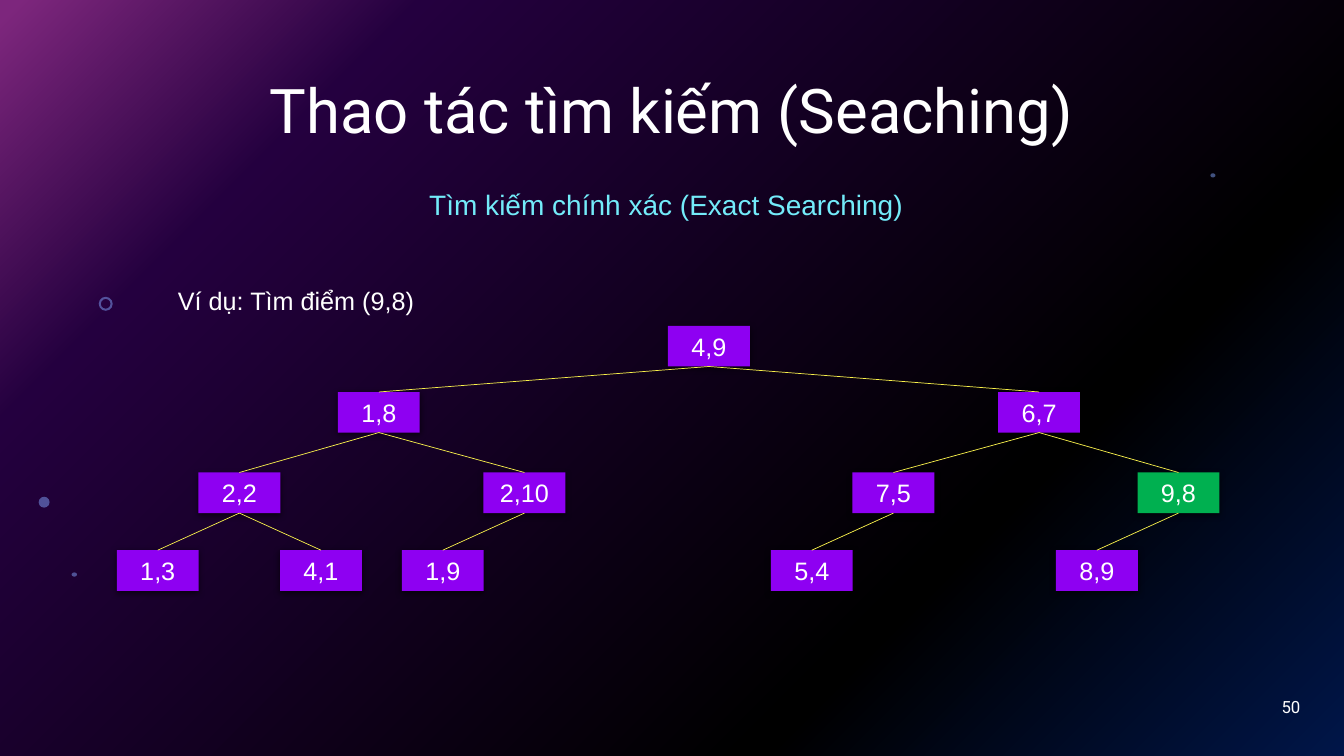
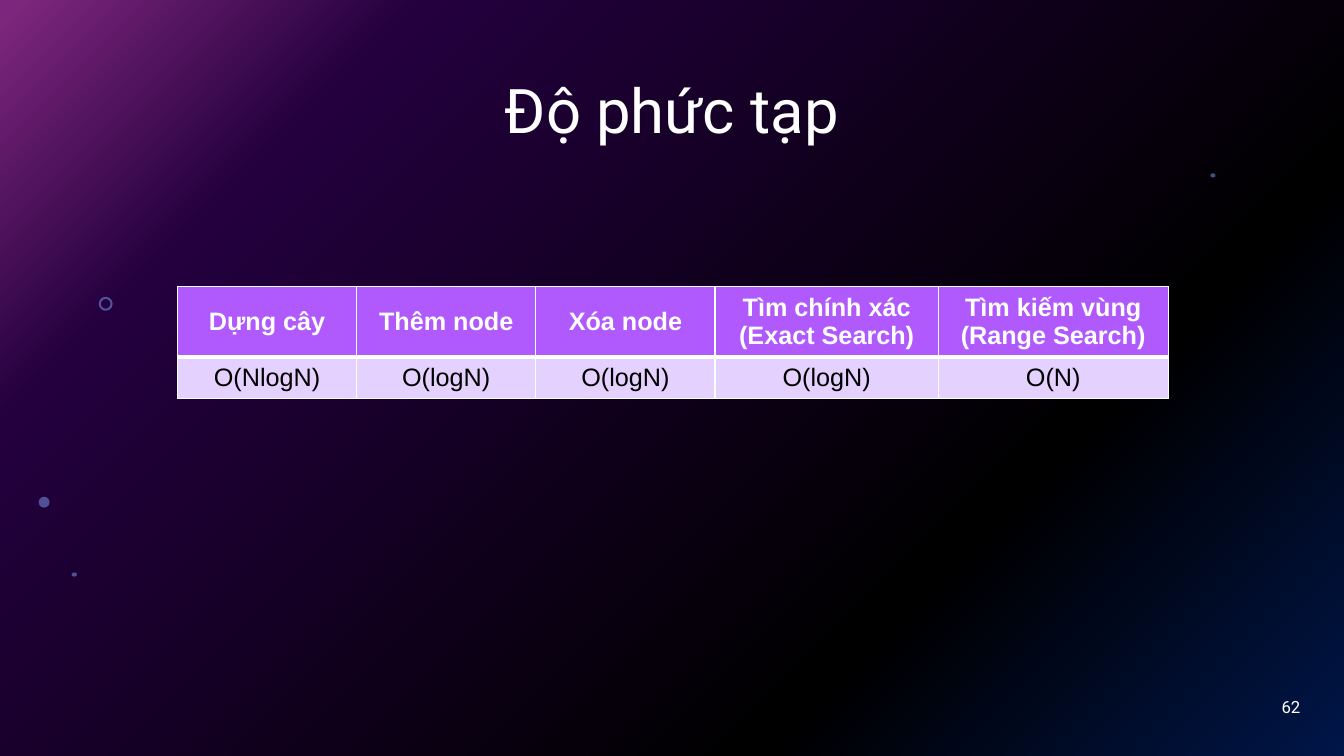
import lxml.etree
import pptx
import pptx.dml.color
import pptx.enum.shapes
import pptx.enum.text
import pptx.oxml.ns
import pptx.util

Pt = pptx.util.Pt
RGBColor = pptx.dml.color.RGBColor
SHAPE = pptx.enum.shapes.MSO_SHAPE
ALIGN = pptx.enum.text.PP_ALIGN
ANCHOR = pptx.enum.text.MSO_ANCHOR
qn = pptx.oxml.ns.qn

WHITE = RGBColor(0xFF, 0xFF, 0xFF)
BLACK = RGBColor(0x00, 0x00, 0x00)
AQUA = RGBColor(0x73, 0xEB, 0xF9)
BLUE = RGBColor(0x83, 0xA7, 0xFD)
PURPLE = RGBColor(0x8E, 0x00, 0xF2)
GREEN = RGBColor(0x00, 0xB0, 0x50)
YELLOW = RGBColor(0xFA, 0xF2, 0x4C)
VIOLET = RGBColor(0xB0, 0x59, 0xFD)
LILAC = RGBColor(0xE4, 0xD1, 0xFE)
GLOW = (
    (0, RGBColor(0x02, 0x2D, 0x94)),
    (28, BLACK),
    (80, RGBColor(0x4A, 0x02, 0x7F)),
    (99, RGBColor(0xFC, 0x4E, 0xFB)),
)

HEAD = "Roboto"
BODY = "Arial"
WIDTH, HEIGHT = 960, 540

# Left, top, width and height of each small dot
DOTS = (
    (27.6, 354.8, 7.8, 7.8),
    (51.2, 408.9, 3.8, 3),
    (864.6, 123.8, 3.6, 3),
)

NODE_W, NODE_H = 58.5, 29
ROOT_X = 506.4
ROWS = (232.8, 280, 337.5, 393)
LEAF = 58.3
FOUND = "9,8"
# Label, shift from the parent's centre, children
TREE = ("4,9", 0, (
    ("1,8", -235.8, (
        ("2,2", -99.6, (("1,3", -LEAF, ()), ("4,1", LEAF, ()))),
        ("2,10", 104, (("1,9", -LEAF, ()),)),
    )),
    ("6,7", 235.8, (
        ("7,5", -104, (("5,4", -LEAF, ()),)),
        (FOUND, 99.6, (("8,9", -LEAF, ()),)),
    )),
))

COSTS = (
    ("Dựng cây", "O(NlogN)", 128),
    ("Thêm node", "O(logN)", 128),
    ("Xóa node", "O(logN)", 128),
    ("Tìm chính xác (Exact Search)", "O(logN)", 159.5),
    ("Tìm kiếm vùng (Range Search)", "O(N)", 164.2),
)


def add_node(parent, tag, **values):
    return lxml.etree.SubElement(parent, qn(tag), values)


def add_tint(parent, color, alpha=100):
    tint = add_node(parent, "a:srgbClr", val=str(color))
    if alpha < 100:
        add_node(tint, "a:alpha", val=str(alpha * 1000))


def write(frame, text, size, color, font=BODY, align=ALIGN.LEFT, bold=False):
    para = frame.paragraphs[0]
    para.alignment = align
    run = para.add_run()
    run.text = text
    run.font.size = Pt(size)
    run.font.name = font
    run.font.bold = bold
    run.font.color.rgb = color
    return para


def add_text(slide, box, text, size, color, anchor=ANCHOR.TOP, **style):
    frame = slide.shapes.add_textbox(*map(Pt, box)).text_frame
    frame.word_wrap = True
    frame.vertical_anchor = anchor
    return write(frame, text, size, color, **style)


def add_shape(slide, kind, box, color, alpha=100):
    shape = slide.shapes.add_shape(kind, *map(Pt, box))
    shape.shadow.inherit = False
    shape.fill.solid()
    shape.fill.fore_color.rgb = color
    shape.line.fill.background()
    if alpha < 100:
        tint = shape.element.spPr.find(qn("a:solidFill")).find(qn("a:srgbClr"))
        add_node(tint, "a:alpha", val=str(alpha * 1000))
    return shape


def paint_master(master):
    """Give all slides a round glow that starts at the lower right corner."""
    master.background.fill.gradient()
    grad = next(master.element.iter(qn("a:gradFill")))
    for child in list(grad):
        grad.remove(child)
    stops = add_node(grad, "a:gsLst")
    for place, color in GLOW:
        add_tint(add_node(stops, "a:gs", pos=str(place * 1000)), color)
    curve = add_node(grad, "a:path", path="circle")
    add_node(curve, "a:fillToRect", l="100000", t="100000")


def add_slide(deck, title, number):
    slide = deck.slides.add_slide(deck.slide_layouts[6])
    add_shape(slide, SHAPE.RECTANGLE, (0, 0, WIDTH, HEIGHT), BLACK, 50)
    ring = add_shape(slide, SHAPE.DONUT, (70.5, 212, 10, 10), BLUE, 49)
    ring.adjustments[0] = 0.15
    for dot in DOTS:
        add_shape(slide, SHAPE.OVAL, dot, BLUE, 49)
    para = add_text(slide, (66, 28.8, 828, 104.4), title, 44, WHITE,
                    ANCHOR.MIDDLE, font=HEAD, align=ALIGN.CENTER)
    para.line_spacing = 0.9
    add_text(slide, (720, 490.5, 216, 28.8), number, 12, WHITE,
             ANCHOR.MIDDLE, font=HEAD, align=ALIGN.RIGHT)
    return slide


def add_box(slide, label, x, y):
    color = GREEN if label == FOUND else PURPLE
    box = add_shape(slide, SHAPE.RECTANGLE,
                    (x - NODE_W / 2, y, NODE_W, NODE_H), color)
    effects = box.element.spPr.find(qn("a:effectLst"))
    shade = add_node(effects, "a:outerShdw", blurRad=str(Pt(4.5)),
                     dist=str(Pt(1.5)), dir="5400000", rotWithShape="0")
    add_tint(shade, BLACK, 63)
    box.text_frame.vertical_anchor = ANCHOR.TOP
    write(box.text_frame, label, 18, WHITE, align=ALIGN.CENTER)
    return box


def add_edge(slide, upper, lower):
    edge = slide.shapes.add_connector(
        pptx.enum.shapes.MSO_CONNECTOR.STRAIGHT, 0, 0, 0, 0)
    edge.begin_connect(upper, 2)
    edge.end_connect(lower, 0)
    edge.line.color.rgb = YELLOW
    edge.line.width = Pt(0.5)
    add_node(edge.element.spPr, "a:effectLst")


def add_tree(slide, tree, x, level=0):
    """Draw a node with all below it and return its box."""
    label, shift, children = tree
    x += shift
    box = add_box(slide, label, x, ROWS[level])
    for child in children:
        add_edge(slide, box, add_tree(slide, child, x, level + 1))
    return box


def set_edges(cell, top, bottom):
    """Draw white cell borders; they must stand before the fill."""
    props = cell._tc.get_or_add_tcPr()
    widths = (("L", 1), ("R", 1), ("T", top), ("B", bottom))
    for index, (side, width) in enumerate(widths):
        line = add_node(props, "a:ln" + side, w=str(Pt(width)))
        add_tint(add_node(line, "a:solidFill"), WHITE)
        props.insert(index, line)


def fill_cell(cell, text, fill, color, bold, top, bottom):
    cell.fill.solid()
    cell.fill.fore_color.rgb = fill
    cell.vertical_anchor = ANCHOR.MIDDLE
    write(cell.text_frame, text, 18, color, align=ALIGN.CENTER, bold=bold)
    set_edges(cell, top, bottom)


def add_costs(slide):
    total = sum(width for _, _, width in COSTS)
    high, low = 46.8, 29.2
    frame = slide.shapes.add_table(2, len(COSTS), Pt(126.8), Pt(204.8),
                                   Pt(total), Pt(high + low))
    table = frame.table
    table.horz_banding = False
    table.rows[0].height, table.rows[1].height = Pt(high), Pt(low)
    for col, (name, cost, width) in enumerate(COSTS):
        table.columns[col].width = Pt(width)
        fill_cell(table.cell(0, col), name, VIOLET, WHITE, True, 1, 3)
        fill_cell(table.cell(1, col), cost, LILAC, BLACK, False, 3, 1)


def main():
    deck = pptx.Presentation()
    deck.slide_width, deck.slide_height = Pt(WIDTH), Pt(HEIGHT)
    paint_master(deck.slide_master)

    search = add_slide(deck, "Thao tác tìm kiếm (Seaching)", "50")
    para = add_text(search, (299.5, 133.2, 361, 40),
                    "Tìm kiếm chính xác (Exact Searching)", 20, AQUA)
    para.line_spacing = 0.9
    add_tree(search, TREE, ROOT_X)
    add_text(search, (120, 200.2, 325, 29), "Ví dụ: Tìm điểm (9,8)", 18, WHITE)

    add_costs(add_slide(deck, "Độ phức tạp", "62"))
    deck.save("out.pptx")


if __name__ == "__main__":
    main()
